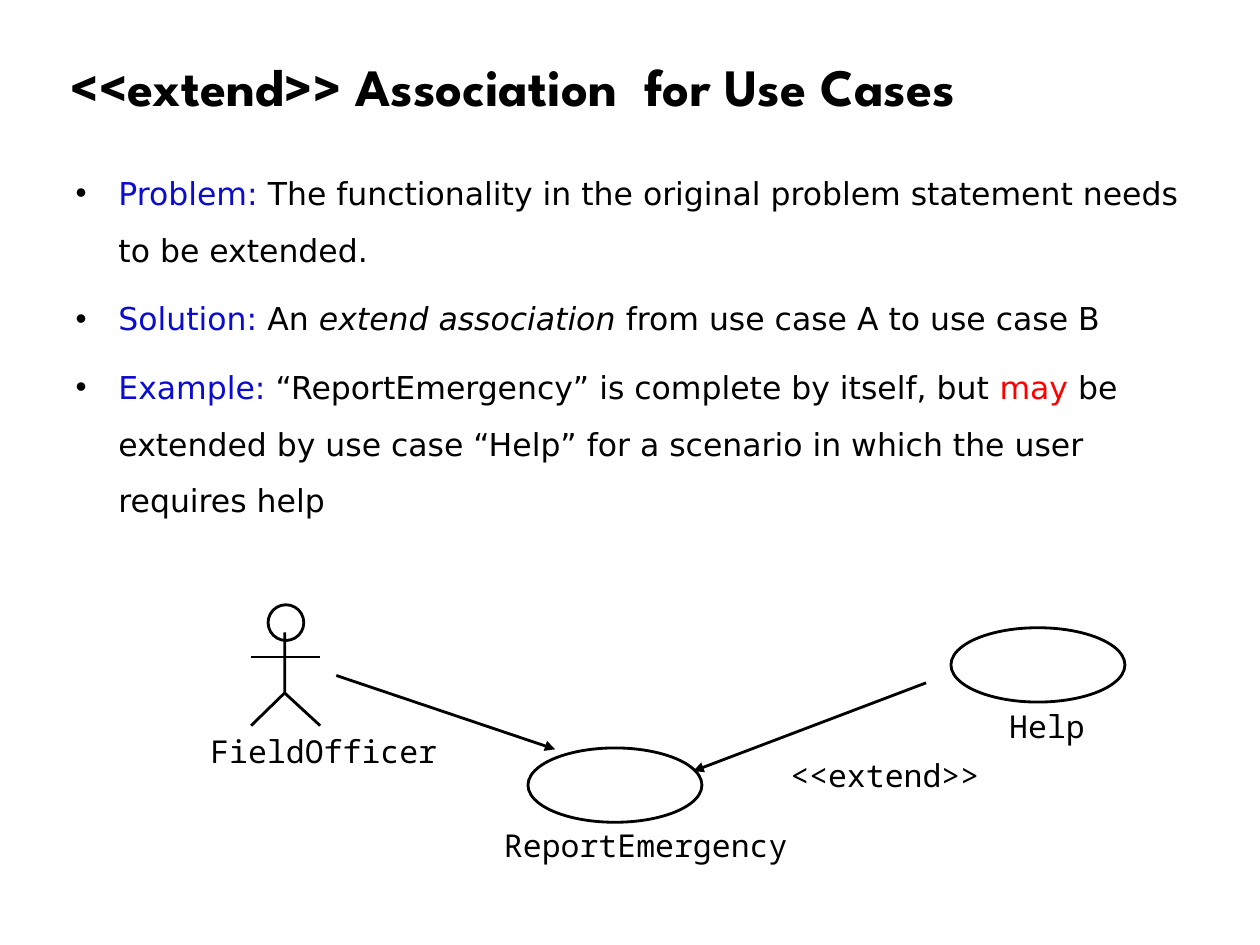
from lxml.etree import SubElement
from pptx import Presentation
from pptx.dml.color import RGBColor
from pptx.enum.shapes import MSO_CONNECTOR, MSO_SHAPE
from pptx.enum.text import MSO_ANCHOR, MSO_AUTO_SIZE, PP_ALIGN
from pptx.oxml.ns import qn
from pptx.util import Pt

BLACK = RGBColor(0x00, 0x00, 0x00)
BLUE = RGBColor(0x0C, 0x0C, 0xCF)
RED = RGBColor(0xFF, 0x00, 0x00)
LINE_WIDTH = Pt(1.62)
OVAL_SIZE = (99.4, 42.5)

TITLE_FONT = dict(name="League Spartan", size=Pt(30), bold=True)
BODY_FONT = dict(name="DejaVu Sans", size=Pt(18))
LABEL_FONT = dict(name="Noto Sans Mono", size=Pt(18))

BULLETS = [
    [("Problem:", BLUE, False),
     (" The functionality in the original problem statement needs to be extended.", BLACK, False)],
    [("Solution:", BLUE, False),
     (" An ", BLACK, False),
     ("extend association", BLACK, True),
     (" from use case A to use case B", BLACK, False)],
    [("Example:", BLUE, False),
     (" “ReportEmergency” is complete by itself, but ", BLACK, False),
     ("may", RED, False),
     (" be extended by use case “Help” for a scenario in which the user requires help", BLACK, False)],
]


def set_attrs(obj, values):
    for name, value in values.items():
        setattr(obj, name, value)


def place(sp, left, top, width, height):
    set_attrs(sp, dict(left=Pt(left), top=Pt(top), width=Pt(width), height=Pt(height)))


def add_run(p, text, font, color=BLACK, italic=False):
    r = p.add_run()
    r.text = text
    set_attrs(r.font, dict(font, italic=italic))
    r.font.color.rgb = color


def set_bullet(p):
    pPr = p._p.get_or_add_pPr()
    pPr.set("marL", str(Pt(24.5)))
    pPr.set("indent", str(-Pt(24.5)))
    clr = SubElement(pPr, qn("a:buClr"))
    SubElement(clr, qn("a:srgbClr"), val=str(BLACK))
    SubElement(pPr, qn("a:buChar"), char="•")


def fill_title(sp, text):
    place(sp, 33.1, 17.3, 642.2, 67.7)
    tf = sp.text_frame
    set_attrs(tf, dict(vertical_anchor=MSO_ANCHOR.MIDDLE, word_wrap=True,
                       auto_size=MSO_AUTO_SIZE.NONE))
    p = tf.paragraphs[0]
    set_attrs(p, dict(alignment=PP_ALIGN.LEFT, line_spacing=0.9))
    add_run(p, text, TITLE_FONT)


def fill_body(sp, bullets):
    place(sp, 36.7, 85, 646.6, 206.6)
    tf = sp.text_frame
    set_attrs(tf, dict(margin_left=Pt(6.5), margin_right=Pt(6.5), word_wrap=True,
                       auto_size=MSO_AUTO_SIZE.NONE))
    for i, runs in enumerate(bullets):
        p = tf.add_paragraph() if i else tf.paragraphs[0]
        set_bullet(p)
        set_attrs(p, dict(line_spacing=1.5, space_before=Pt(6.8 if i else 0)))
        for text, color, italic in runs:
            add_run(p, text, BODY_FONT, color, italic)


def outline(sp):
    sp.line.color.rgb = BLACK
    sp.line.width = LINE_WIDTH


def add_oval(g, left, top, width, height):
    sp = g.shapes.add_shape(MSO_SHAPE.OVAL, Pt(left), Pt(top), Pt(width), Pt(height))
    sp.shadow.inherit = False
    sp.fill.background()
    outline(sp)


def add_line(g, start, end, arrow=False):
    cx = g.shapes.add_connector(MSO_CONNECTOR.STRAIGHT, *map(Pt, start + end))
    outline(cx)
    if arrow:
        SubElement(cx.line._get_or_add_ln(), qn("a:tailEnd"), type="triangle")
    SubElement(cx._element.spPr, qn("a:effectLst"))


def add_polyline(g, points):
    start, *rest = [tuple(map(Pt, point)) for point in points]
    fb = g.shapes.build_freeform(*start)
    fb.add_line_segments(rest, close=False)
    sp = fb.convert_to_shape()
    sp.shadow.inherit = False
    sp.fill.background()
    outline(sp)


def add_label(g, text, left, top, width):
    sp = g.shapes.add_textbox(Pt(left), Pt(top), Pt(width), Pt(21.6))
    tf = sp.text_frame
    set_attrs(tf, dict(margin_left=0, margin_top=0, margin_right=0, margin_bottom=0,
                       word_wrap=False, auto_size=MSO_AUTO_SIZE.SHAPE_TO_FIT_TEXT))
    add_run(tf.paragraphs[0], text, LABEL_FONT)


def add_actor(g):
    hip = (162.7, 396)
    add_oval(g, 153.2, 345.6, 20.4, 20.4)
    add_polyline(g, [(162.7, 361.4), hip, (143.5, 414.7)])
    add_line(g, hip, (183, 414.7))
    add_line(g, (143.5, 375.5), (183, 375.5))
    add_label(g, "FieldOfficer", 120.2, 418.3, 130.3)


def add_use_case(g, oval_at, text, label_at, label_width):
    add_oval(g, *oval_at, *OVAL_SIZE)
    add_label(g, text, *label_at, label_width)


def main():
    prs = Presentation()
    set_attrs(prs, dict(slide_width=Pt(720), slide_height=Pt(540)))
    s = prs.slides.add_slide(prs.slide_layouts[1])
    title, body = s.placeholders
    fill_title(title, "<<extend>> Association  for Use Cases")
    fill_body(body, BULLETS)

    g = s.shapes.add_group_shape()
    add_actor(g)
    add_use_case(g, (301.7, 427.4), "ReportEmergency", (288, 472.3), 162.7)
    add_line(g, (192.2, 386), (317.3, 428.2), arrow=True)

    g = s.shapes.add_group_shape()
    add_use_case(g, (543.4, 358.7), "Help", (576.7, 403.9), 43.2)
    add_line(g, (529.2, 390.2), (396.2, 440.6), arrow=True)
    add_label(g, "<<extend>>", 451.6, 432, 108.7)
    prs.save("out.pptx")


if __name__ == "__main__":
    main()
